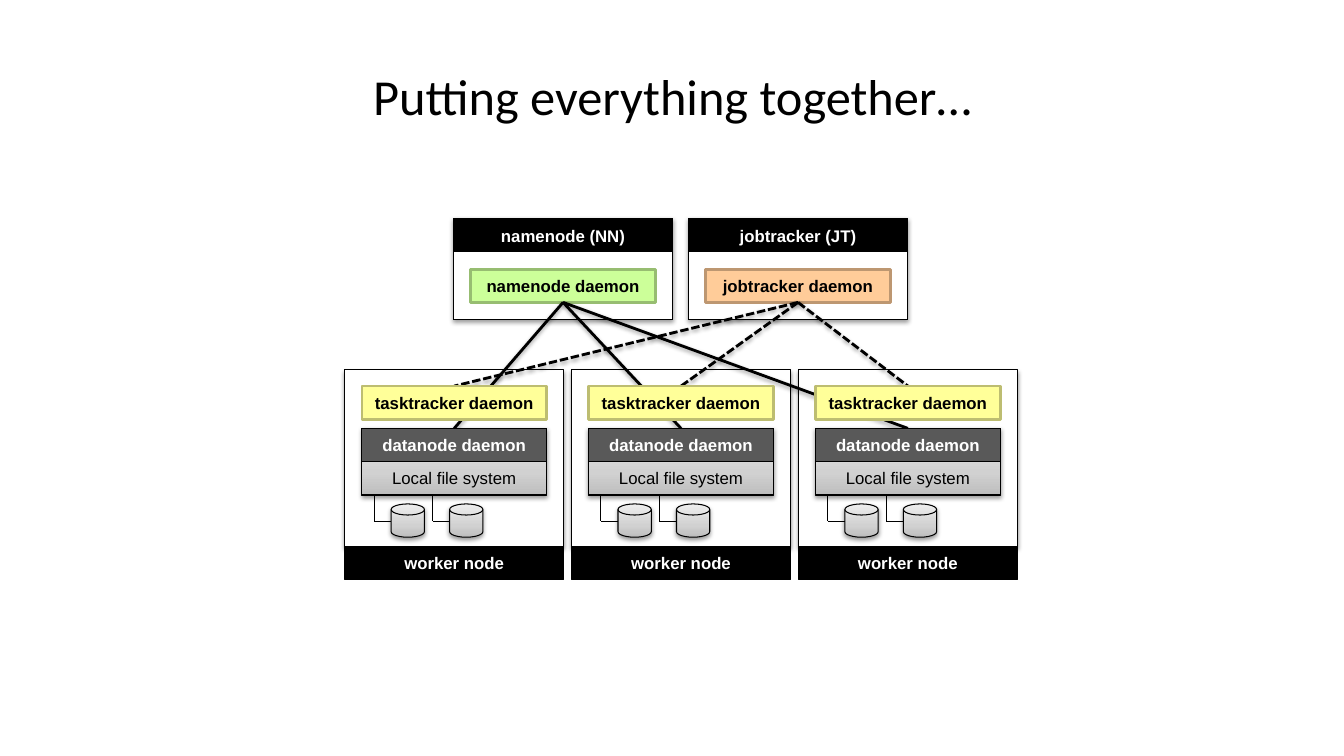
"""Draw a cluster diagram: two master nodes wired to three worker nodes."""
import copy

import pptx
import pptx.dml.color
import pptx.enum.dml
import pptx.enum.shapes
import pptx.enum.text
import pptx.oxml
import pptx.oxml.ns
import pptx.util
from lxml import etree

Inches = pptx.util.Inches
Pt = pptx.util.Pt
Rgb = pptx.dml.color.RGBColor.from_string
qn = pptx.oxml.ns.qn
Shape = pptx.enum.shapes.MSO_SHAPE

COLORS = {
    "black": "000000", "white": "FFFFFF", "slate": "595959",
    "yellow": "FFFF99", "olive": "BDBD71", "green": "CCFF99",
    "moss": "97BD71", "orange": "FFCC99", "brown": "BD9771",
}
METAL_STOPS = {0: "BDBDBD", 35: "D1D1D1", 100: "EEEEEE"}
NAMESPACE = "http://schemas.openxmlformats.org/drawingml/2006/main"
NO_SHADOW = pptx.oxml.parse_xml(f'<a:effectLst xmlns:a="{NAMESPACE}"/>')
SOFT_SHADOW = pptx.oxml.parse_xml(
    f'<a:effectLst xmlns:a="{NAMESPACE}">'
    '<a:outerShdw blurRad="40000" dist="20000" dir="5400000" rotWithShape="0">'
    '<a:srgbClr val="000000"><a:alpha val="38000"/></a:srgbClr>'
    '</a:outerShdw></a:effectLst>')

NODE_WIDTH, DAEMON_WIDTH, ROW = 2.17, 1.83, 0.33
INSET = 0.17
WORKER_LEFTS = [3.42 + 2.25 * index for index in range(3)]

deck = pptx.Presentation()
deck.slide_width, deck.slide_height = Inches(13.33), Inches(7.5)
page = deck.slides.add_slide(deck.slide_layouts[6])


def add_box(left, top, width, height, fill=None, text="", ink="black", bold=True,
            edge="black", weight=0.75, effects=NO_SHADOW, kind=Shape.RECTANGLE):
    box = page.shapes.add_shape(
        kind, Inches(left), Inches(top), Inches(width), Inches(height))
    if fill == "metal":
        box.fill.gradient()
        box.fill.gradient_angle = 90
        stops = box._element.spPr.find(".//" + qn("a:gsLst"))
        stops.clear()
        for position, shade in METAL_STOPS.items():
            stop = etree.SubElement(stops, qn("a:gs"), pos=str(position * 1000))
            etree.SubElement(stop, qn("a:srgbClr"), val=shade)
    elif fill:
        box.fill.solid()
        box.fill.fore_color.rgb = Rgb(COLORS[fill])
    else:
        box.fill.background()
    box.line.color.rgb = Rgb(COLORS[edge])
    box.line.width = Pt(weight)
    box._element.spPr.append(copy.deepcopy(effects))
    if text:
        frame = box.text_frame
        frame.vertical_anchor = pptx.enum.text.MSO_ANCHOR.MIDDLE
        para = frame.paragraphs[0]
        para.alignment = pptx.enum.text.PP_ALIGN.CENTER
        span = para.add_run()
        span.text = text
        span.font.color.rgb = Rgb(COLORS[ink])
        for name, value in {"name": "Arial", "size": Pt(12), "bold": bold}.items():
            setattr(span.font, name, value)
    return box


def add_line(start, end, weight=0.75, dash=None, effects=NO_SHADOW):
    line = page.shapes.add_connector(
        pptx.enum.shapes.MSO_CONNECTOR.STRAIGHT,
        *[Inches(value) for value in (*start, *end)])
    line.line.color.rgb = Rgb(COLORS["black"])
    line.line.width = Pt(weight)
    if dash:
        line.line.dash_style = dash
    line._element.spPr.append(copy.deepcopy(effects))
    return line


title = page.shapes.add_textbox(Inches(1.67), Inches(0.6), Inches(10), Inches(0.75))
title.text_frame.word_wrap = True
title.text_frame.vertical_anchor = pptx.enum.text.MSO_ANCHOR.TOP
title_para = title.text_frame.paragraphs[0]
title_para.alignment = pptx.enum.text.PP_ALIGN.CENTER
title_span = title_para.add_run()
title_span.text = "Putting everything together…"
title_span.font.color.rgb = Rgb(COLORS["black"])
for name, value in {"name": "Calibri", "size": Pt(36)}.items():
    setattr(title_span.font, name, value)

masters = [
    (4.5, "namenode (NN)", "namenode daemon", "green", "moss"),
    (6.83, "jobtracker (JT)", "jobtracker daemon", "orange", "brown"),
]
master_daemons = []
for left, heading, daemon, fill, edge in masters:
    add_box(left, 2.17, NODE_WIDTH, 1, "white", effects=SOFT_SHADOW)
    add_box(left, 2.17, NODE_WIDTH, ROW, "black", heading, "white")
    add_box(left, 2.5, NODE_WIDTH, 0.67)
    master_daemons.append(add_box(
        left + INSET, 2.67, DAEMON_WIDTH, ROW, fill, daemon, edge=edge, weight=2))

for left in WORKER_LEFTS:
    add_box(left, 3.67, NODE_WIDTH, 1.75, "white", effects=SOFT_SHADOW)

links = []
for daemon, start, end_top, dash in (
        (master_daemons[0], (5.58, 3), 4.25, None),
        (master_daemons[1], (7.92, 3), 3.83, pptx.enum.dml.MSO_LINE.SQUARE_DOT)):
    fan = []
    for left in WORKER_LEFTS:
        link = add_line(start, (left + NODE_WIDTH / 2, end_top), 2, dash, SOFT_SHADOW)
        link.begin_connect(daemon, 2)
        fan.append(link)
    links.append(fan)

for left, data_link, task_link in zip(WORKER_LEFTS, *links):
    inner = left + INSET
    add_box(inner, 4.25, DAEMON_WIDTH, 0.67, "metal", effects=SOFT_SHADOW)
    datanode = add_box(
        inner, 4.25, DAEMON_WIDTH, ROW, "slate", "datanode daemon", "white")
    add_box(inner, 4.58, DAEMON_WIDTH, ROW, text="Local file system", bold=False)
    for disk_left in (left + 0.46, left + 1.04):
        add_box(disk_left, 5, ROW, ROW, "metal", effects=SOFT_SHADOW,
                kind=Shape.FLOWCHART_MAGNETIC_DISK)
        corner = (disk_left - INSET, 5.17)
        add_line((corner[0], 4.92), corner)
        add_line(corner, (disk_left, 5.17))
    tasktracker = add_box(inner, 3.83, DAEMON_WIDTH, ROW, "yellow",
                          "tasktracker daemon", edge="olive", weight=2)
    add_box(left, 5.42, NODE_WIDTH, ROW, "black", "worker node", "white")
    data_link.end_connect(datanode, 0)
    task_link.end_connect(tasktracker, 0)

deck.save("out.pptx")
